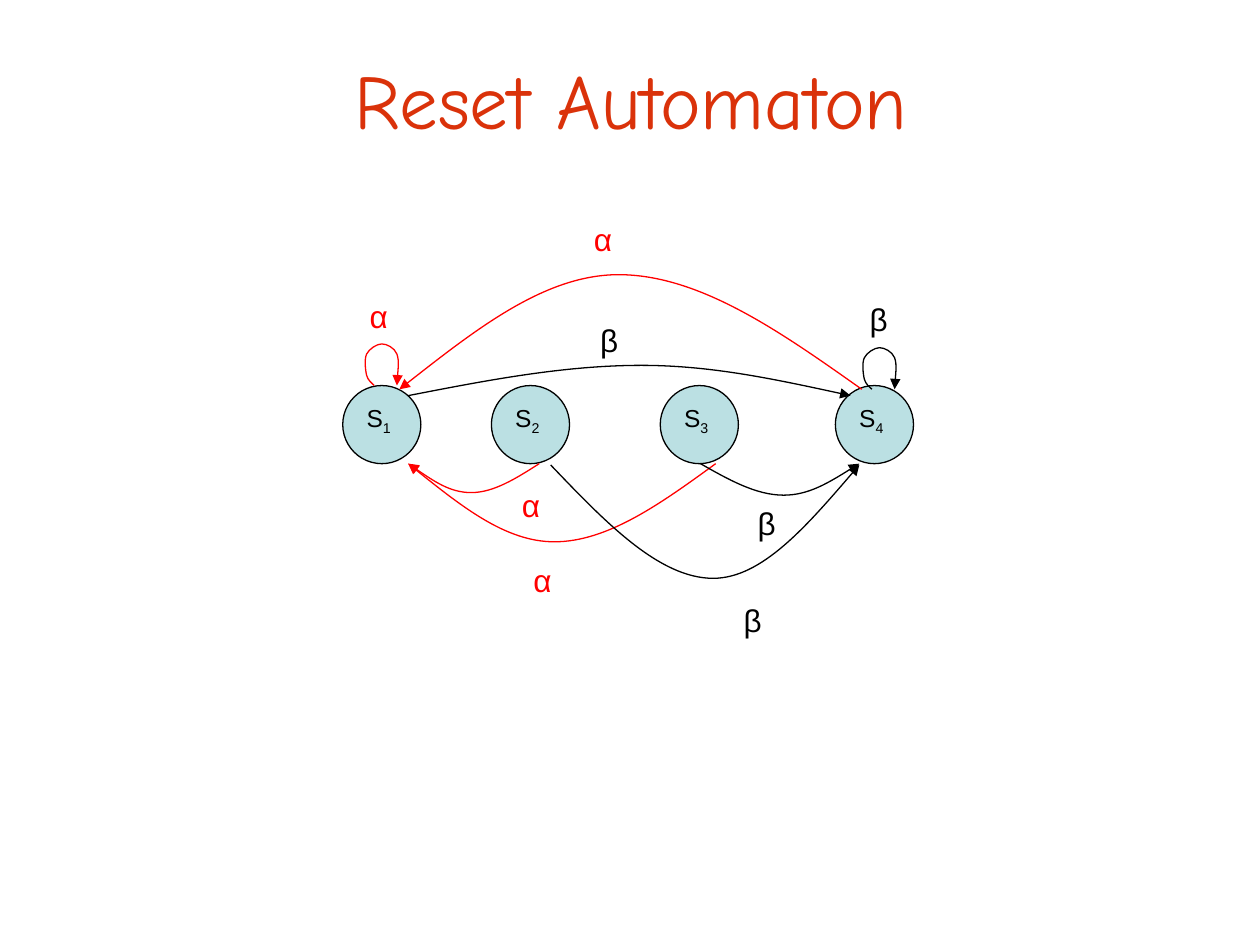
from lxml.etree import SubElement
from pptx import Presentation
from pptx.dml.color import RGBColor
from pptx.enum.shapes import MSO_SHAPE
from pptx.enum.text import MSO_ANCHOR, PP_ALIGN
from pptx.oxml.ns import qn
from pptx.util import Inches, Pt

COLORS = {"title": "DA320A", "state": "BBE0E3", "alpha": "FF0000", "beta": "000000", "ink": "000000"}
SYMBOLS = {"alpha": "α", "beta": "β"}
STATE_SIZE = 0.62
STATE_TOP = 3.06
STATE_LEFTS = [2.72, 3.9, 5.24, 6.63]
LABEL_SIZES = {"alpha": (0.47, 0.38), "beta": (0.43, 0.34)}
ARCS = [
    ("alpha", (6.84, 3.09), (4.91, 2.18), (3.17, 3.09)),
    ("alpha", (5.68, 3.68), (4.4, 4.3), (3.24, 3.68)),
    ("alpha", (4.28, 3.68), (3.74, 3.91), (3.24, 3.68)),
    ("beta", (3.24, 3.14), (5.09, 2.9), (6.75, 3.14)),
    ("beta", (5.56, 3.68), (6.22, 3.93), (6.82, 3.68)),
    ("beta", (4.37, 3.69), (5.66, 4.59), (6.82, 3.69)),
]
LOOPS = [("alpha", 2.89, 2.73), ("beta", 6.84, 2.76)]
LOOP_POINTS = [
    (0.08, 0.33), (0.06, 0.31), (0.03, 0.29), (0.02, 0.25), (0.01, 0.21), (0, 0.12), (0.02, 0.08),
    (0.04, 0.04), (0.1, 0), (0.14, 0), (0.18, 0), (0.24, 0.03), (0.26, 0.08),
    (0.28, 0.14), (0.26, 0.29), (0.26, 0.33),
]
LABELS = [
    ("alpha", 2.77, 2.31), ("beta", 6.76, 2.33), ("alpha", 4.55, 1.7), ("alpha", 3.98, 3.81),
    ("alpha", 4.07, 4.4), ("beta", 4.62, 2.5), ("beta", 5.87, 3.95), ("beta", 5.76, 4.72),
]


def color(name):
    return RGBColor.from_string(COLORS[name])


def set_font(para, size, name, tint):
    para.font.size = Pt(size)
    para.font.name = name
    para.font.color.rgb = color(tint)


def set_line(shape, tint):
    shape.shadow.inherit = False
    shape.line.color.rgb = color(tint)
    shape.line.width = Pt(0.75)


def add_title(page, left, top, width, height):
    title = page.shapes.title
    title.left, title.top = Inches(left), Inches(top)
    title.width, title.height = Inches(width), Inches(height)
    frame = title.text_frame
    frame.text = "Reset Automaton"
    frame.vertical_anchor = MSO_ANCHOR.MIDDLE
    para = frame.paragraphs[0]
    para.alignment = PP_ALIGN.CENTER
    set_font(para, 44, "Comic Neue", "title")


def add_state(page, number, left, top, size):
    state = page.shapes.add_shape(
        MSO_SHAPE.OVAL, Inches(left), Inches(top), Inches(size), Inches(size))
    state.fill.solid()
    state.fill.fore_color.rgb = color("state")
    set_line(state, "ink")
    state.text_frame.vertical_anchor = MSO_ANCHOR.TOP
    para = state.text_frame.paragraphs[0]
    para.alignment = PP_ALIGN.LEFT
    set_font(para, 14, "Arial", "ink")
    para.add_run().text = "S"
    subscript = para.add_run()
    subscript.text = str(number)
    subscript.font._element.set("baseline", "-25000")


def add_curve(page, symbol, points):
    start, *rest = [(Inches(x), Inches(y)) for x, y in points]
    builder = page.shapes.build_freeform(*start)
    builder.add_line_segments(rest, close=False)
    curve = builder.convert_to_shape()
    curve.fill.background()
    set_line(curve, symbol)
    SubElement(curve.line._get_or_add_ln(), qn("a:tailEnd"), type="triangle")
    segments = curve._element.xpath(".//a:lnTo")
    outline = segments[0].getparent()
    for first in range(0, len(segments), 3):
        bezier = SubElement(outline, qn("a:cubicBezTo"))
        for segment in segments[first:first + 3]:
            bezier.append(segment[0])
            outline.remove(segment)


def arc_points(start, apex, end):
    (x0, y0), (x1, y1), (x2, y2) = start, apex, end
    return [
        start, (x0 + (x1 - x0) / 3, (y0 + y1) / 2), (x0 + (x1 - x0) * 2 / 3, y1),
        apex, (x1 + (x2 - x1) / 3, y1), (x1 + (x2 - x1) * 2 / 3, (y1 + y2) / 2), end,
    ]


def add_label(page, symbol, left, top, width, height):
    box = page.shapes.add_textbox(Inches(left), Inches(top), Inches(width), Inches(height))
    box.text_frame.word_wrap = True
    para = box.text_frame.paragraphs[0]
    para.text = SYMBOLS[symbol]
    para.alignment = PP_ALIGN.CENTER
    set_font(para, 18, "Arial", symbol)


def add_automaton(page):
    for number, left in enumerate(STATE_LEFTS, 1):
        add_state(page, number, left, STATE_TOP, STATE_SIZE)
    for symbol, left, top in LOOPS:
        add_curve(page, symbol, [(left + x, top + y) for x, y in LOOP_POINTS])
    for symbol, *anchors in ARCS:
        add_curve(page, symbol, arc_points(*anchors))
    for symbol, left, top in LABELS:
        add_label(page, symbol, left, top, *LABEL_SIZES[symbol])


def main():
    deck = Presentation()
    deck.slide_width, deck.slide_height = Inches(10), Inches(7.5)
    page = deck.slides.add_slide(deck.slide_layouts[5])
    add_title(page, 0.51, 0.28, 9, 1.01)
    add_automaton(page)
    deck.save("out.pptx")


if __name__ == "__main__":
    main()
